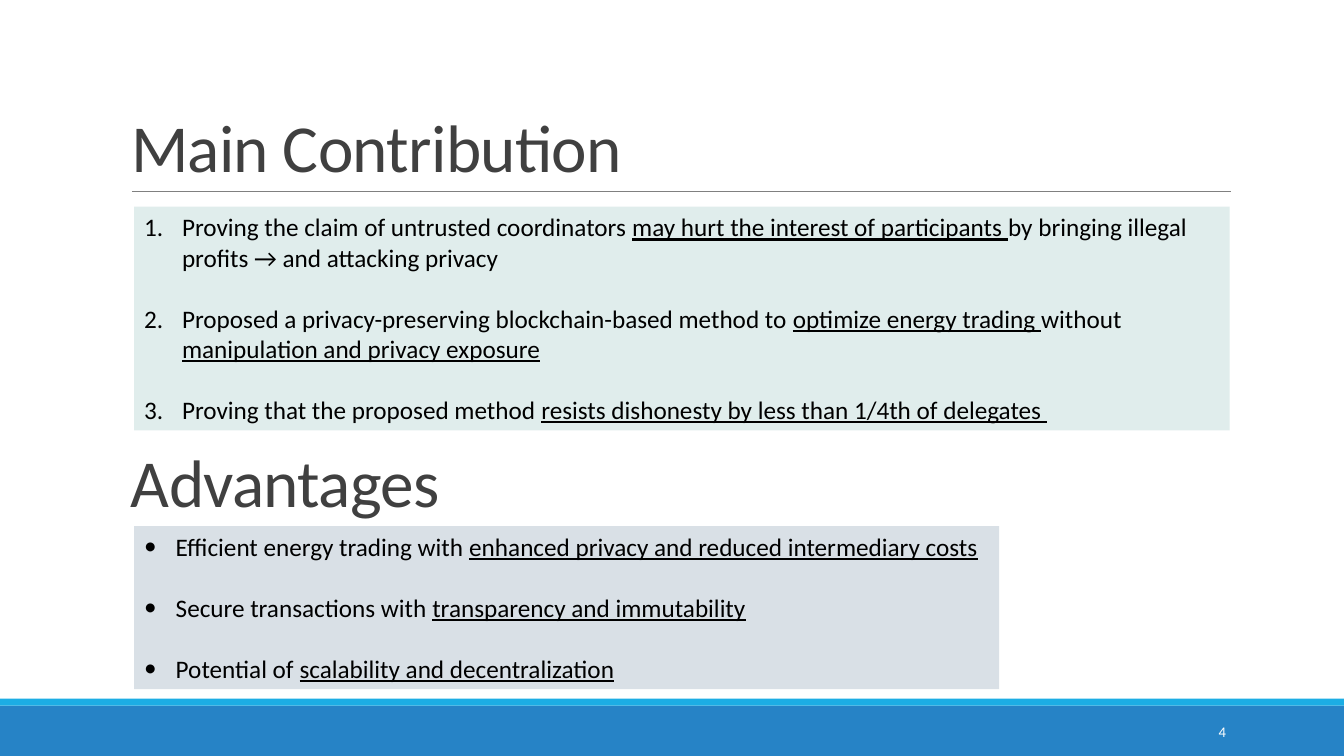
import pptx
import pptx.util
import pptx.dml.color
import pptx.enum.shapes
import pptx.enum.text
import pptx.oxml.ns
import lxml.etree

Pt = pptx.util.Pt
ALIGN = pptx.enum.text.PP_ALIGN
ANCHOR = pptx.enum.text.MSO_ANCHOR

FONT = "Calibri"
PAGE_SIZE = (960, 540)
TITLE_SIZE = (792, 114.5)
BANDS = [((0, 504, 960, 36), "2683C6"), ((0, 499, 960, 5), "1CADE4")]
RULE = (94.3, 879.1, 136.8)
HEADINGS = [("Main Contribution", 22.3), ("Advantages", 261.4)]
PAGE_NUMBER = ("4", (779.8, 508.3, 103, 28.8))

# Each item is a list of (text, underlined) pairs.
CONTRIBUTIONS = [
    [("Proving the claim of untrusted coordinators ", False),
     ("may hurt the interest of participants ", True),
     ("by bringing illegal profits → and attacking privacy", False)],
    [("Proposed a privacy-preserving blockchain-based method to ", False),
     ("optimize energy trading ", True),
     ("without ", False),
     ("manipulation and privacy exposure", True)],
    [("Proving that the proposed method ", False),
     ("resists dishonesty by less than 1/4th of delegates ", True)],
]
ADVANTAGES = [
    [("Efficient energy trading with ", False),
     ("enhanced privacy and reduced intermediary costs", True)],
    [("Secure transactions with ", False),
     ("transparency and immutability", True)],
    [("Potential of ", False),
     ("scalability and decentralization", True)],
]
LISTS = [
    (CONTRIBUTIONS, (95.8, 147.6, 782.6, 159.9), "E0EDEC", 27,
     ("buAutoNum", {"type": "arabicPeriod"})),
    (ADVANTAGES, (95.8, 375.8, 617.8, 116.4), "D9E0E6", 22.5,
     ("buChar", {"char": "•"})),
]
ITEM_GAP = 22


def color(value):
    return pptx.dml.color.RGBColor.from_string(value)


def place(shape, bounds):
    shape.left, shape.top, shape.width, shape.height = map(Pt, bounds)


def fill(shape, value):
    shape.fill.solid()
    shape.fill.fore_color.rgb = color(value)


def style(para, size, value):
    para.font.name = FONT
    para.font.size = Pt(size)
    para.font.color.rgb = color(value)


def set_frame(box, anchor):
    frame = box.text_frame
    frame.word_wrap = True
    frame.auto_size = pptx.enum.text.MSO_AUTO_SIZE.NONE
    frame.vertical_anchor = anchor
    return frame


def write_heading(box, text, top):
    place(box, (86.4, top, *TITLE_SIZE))
    frame = set_frame(box, ANCHOR.BOTTOM)
    frame.text = text
    para = frame.paragraphs[0]
    para.alignment = ALIGN.LEFT
    para.line_spacing = 0.85
    style(para, 48, "404040")
    para.font._element.set("spc", "-50")


def add_bullet(para, indent, bullet):
    tag, attributes = bullet
    properties = para._p.get_or_add_pPr()
    properties.set("marL", str(Pt(indent)))
    properties.set("indent", str(-Pt(indent)))
    font = lxml.etree.SubElement(properties, pptx.oxml.ns.qn("a:buFont"))
    font.set("typeface", FONT)
    lxml.etree.SubElement(properties, pptx.oxml.ns.qn("a:" + tag), attributes)


def write_list(box, items, bounds, background, indent, bullet):
    place(box, bounds)
    fill(box, background)
    frame = set_frame(box, ANCHOR.TOP)
    for index, item in enumerate(items):
        para = frame.add_paragraph() if index else frame.paragraphs[0]
        para.alignment = ALIGN.LEFT
        para.line_spacing = 1.0
        para.space_before = Pt(ITEM_GAP if index else 0)
        add_bullet(para, indent, bullet)
        style(para, 18, "000000")
        for text, underlined in item:
            span = para.add_run()
            span.text = text
            if underlined:
                span.font.underline = True


def main():
    deck = pptx.Presentation()
    deck.slide_width, deck.slide_height = map(Pt, PAGE_SIZE)
    page = deck.slides.add_slide(deck.slide_layouts.get_by_name("Two Content"))
    shapes = page.shapes
    title, *bodies = page.placeholders

    for bounds, value in BANDS:
        band = shapes.add_shape(pptx.enum.shapes.MSO_SHAPE.RECTANGLE, *map(Pt, bounds))
        band.shadow.inherit = False
        fill(band, value)
        band.line.fill.background()

    left, right, height = map(Pt, RULE)
    rule = shapes.add_connector(
        pptx.enum.shapes.MSO_CONNECTOR.STRAIGHT, left, height, right, height)
    rule.line.color.rgb = color("808080")
    rule.line.width = Pt(0.5)
    lxml.etree.SubElement(rule._element.spPr, pptx.oxml.ns.qn("a:effectLst"))

    subtitle = shapes.add_textbox(0, 0, 0, 0)
    for box, (text, top) in zip((title, subtitle), HEADINGS):
        write_heading(box, text, top)
    for box, content in zip(bodies, LISTS):
        write_list(box, *content)

    text, bounds = PAGE_NUMBER
    number = shapes.add_textbox(*map(Pt, bounds))
    frame = set_frame(number, ANCHOR.MIDDLE)
    frame.text = text
    frame.paragraphs[0].alignment = ALIGN.RIGHT
    style(frame.paragraphs[0], 10.5, "FFFFFF")

    deck.save("out.pptx")


if __name__ == "__main__":
    main()
